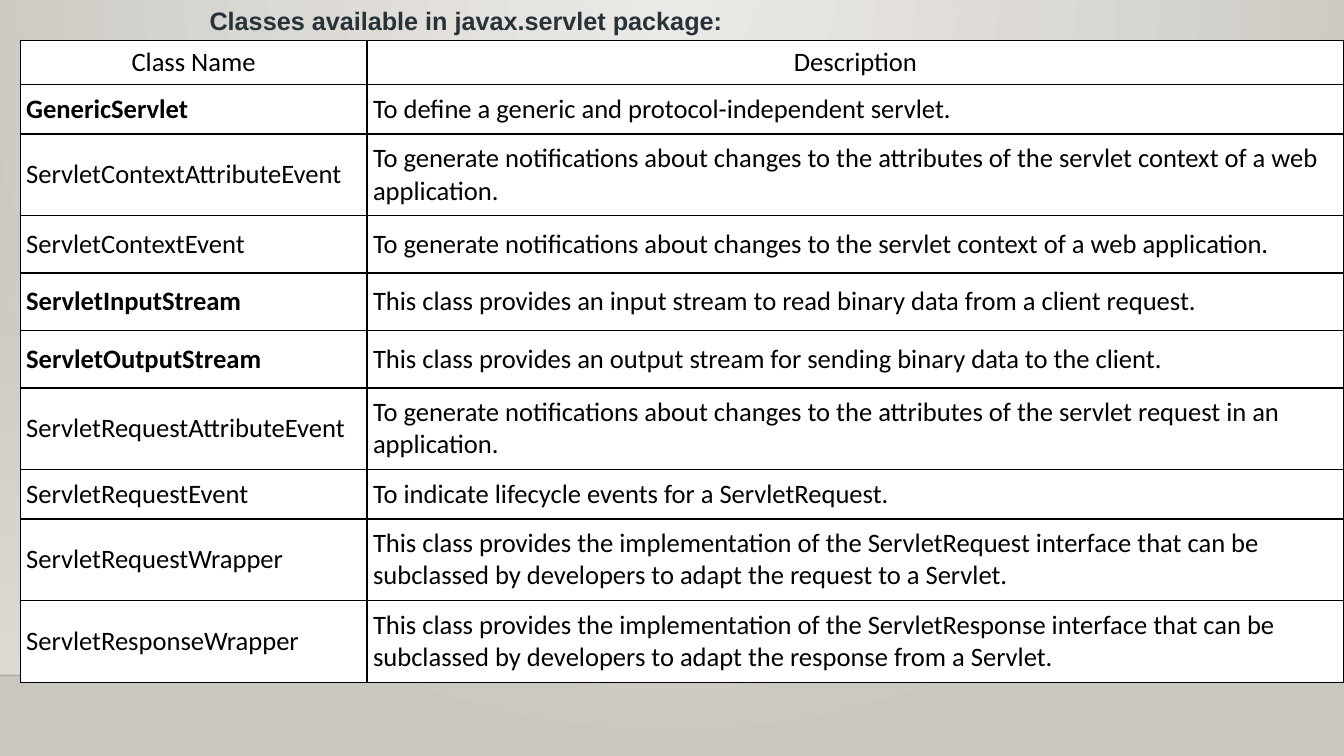
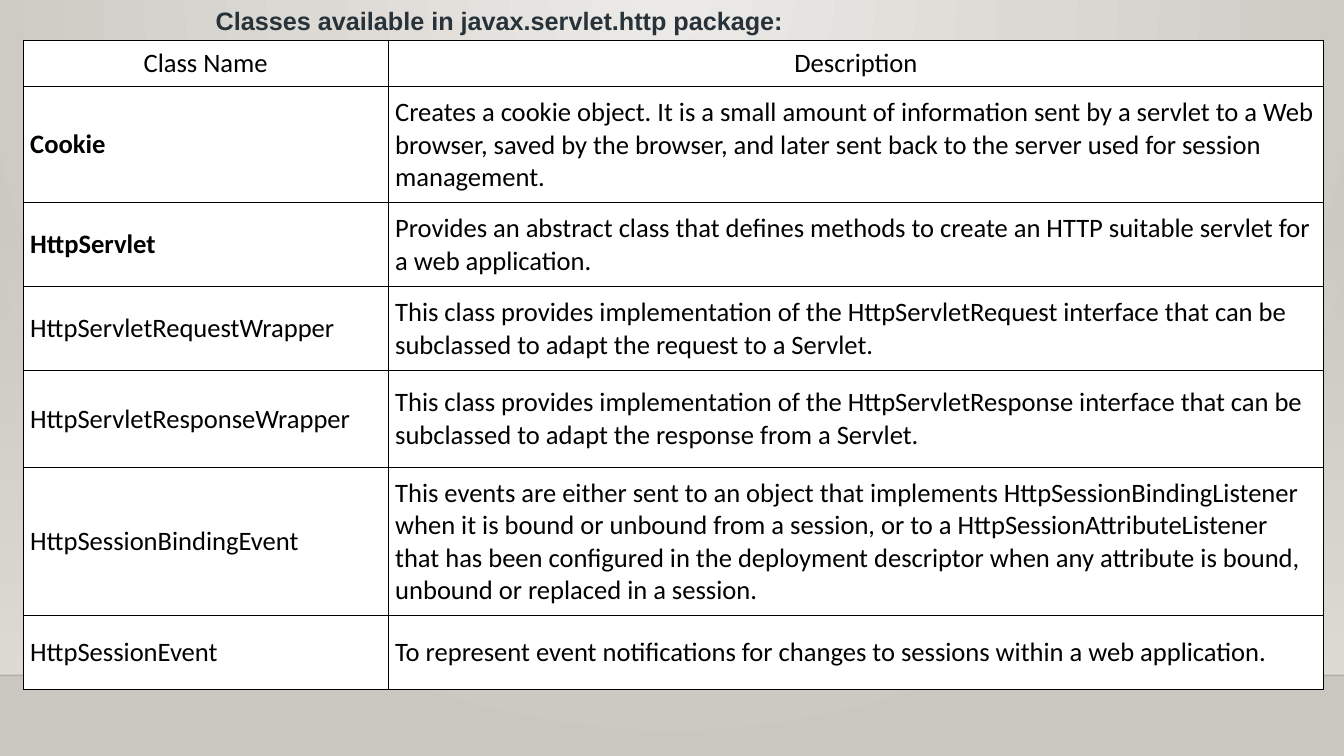
"""Build two slides that list the servlet classes of two Java packages."""
from lxml import etree
from pptx import Presentation
from pptx.dml.color import RGBColor
from pptx.enum.shapes import MSO_CONNECTOR, MSO_SHAPE
from pptx.enum.text import MSO_ANCHOR, PP_ALIGN
from pptx.oxml.ns import qn
from pptx.util import Inches, Pt

RECTANGLE = MSO_SHAPE.RECTANGLE
STRAIGHT = MSO_CONNECTOR.STRAIGHT
MIDDLE = MSO_ANCHOR.MIDDLE
LEFT, CENTER = PP_ALIGN.LEFT, PP_ALIGN.CENTER

COLORS = {
    "glow": "ECEAE7",
    "edge": "CAC7C1",
    "wall": "DFDBD5",
    "floor_line": "000001",
    "title": "273239",
    "text": "000000",
    "border": "000000",
    "cell": "FFFFFF",
}
SLIDE_WIDTH, SLIDE_HEIGHT = 13.33, 7.5
WALL_TOP, FLOOR_TOP = 2.21, 6.7
TABLE_TOP = 0.4
HEADER = ("Class Name", "Description")
KEY_CLASSES = {
    "GenericServlet", "ServletInputStream", "ServletOutputStream", "Cookie", "HttpServlet",
}

PAGES = [
    {
        "title": "Classes available in javax.servlet package:",
        "title_left": 1.98,
        "title_width": 5.41,
        "table_left": 0.2,
        "columns": (3.44, 9.69),
        "header_height": 0.44,
        "side_margin": 0.06,
        "body_margin": 0.08,
        "classes": [
            ("GenericServlet", "To define a generic and protocol-independent servlet.", 0.49),
            ("ServletContextAttributeEvent",
             "To generate notifications about changes to the attributes of the servlet context "
             "of a web application.", 0.81),
            ("ServletContextEvent",
             "To generate notifications about changes to the servlet context of a web "
             "application.", 0.57),
            ("ServletInputStream",
             "This class provides an input stream to read binary data from a client request.", 0.57),
            ("ServletOutputStream",
             "This class provides an output stream for sending binary data to the client.", 0.57),
            ("ServletRequestAttributeEvent",
             "To generate notifications about changes to the attributes of the servlet request "
             "in an application.", 0.81),
            ("ServletRequestEvent", "To indicate lifecycle events for a ServletRequest.", 0.49),
            ("ServletRequestWrapper",
             "This class provides the implementation of the ServletRequest interface that can be "
             "subclassed by developers to adapt the request to a Servlet.", 0.81),
            ("ServletResponseWrapper",
             "This class provides the implementation of the ServletResponse interface that can be "
             "subclassed by developers to adapt the response from a Servlet.", 0.81),
        ],
    },
    {
        "title": "Classes available in javax.servlet.http package:",
        "title_left": 2.04,
        "title_width": 5.95,
        "table_left": 0.23,
        "columns": (3.62, 9.28),
        "header_height": 0.46,
        "side_margin": 0.07,
        "body_margin": 0.1,
        "classes": [
            ("Cookie",
             "Creates a cookie object. It is a small amount of information sent by a servlet to a "
             "Web browser, saved by the browser, and later sent back to the server used for "
             "session management.", 0.96),
            ("HttpServlet",
             "Provides an abstract class that defines methods to create an HTTP suitable servlet "
             "for a web application.", 0.74),
            ("HttpServletRequestWrapper",
             "This class provides implementation of the HttpServletRequest interface that can be "
             "subclassed to adapt the request to a Servlet.", 0.74),
            ("HttpServletResponseWrapper",
             "This class provides implementation of the HttpServletResponse interface that can be "
             "subclassed to adapt the response from a Servlet.", 0.96),
            ("HttpSessionBindingEvent",
             "This events are either sent to an object that "
             "implements HttpSessionBindingListener when it is bound or unbound from a session, "
             "or to a HttpSessionAttributeListener that has been configured in the deployment "
             "descriptor when any attribute is bound, unbound or replaced in a session.", 1.41),
            ("HttpSessionEvent",
             "To represent event notifications for changes to sessions within a web "
             "application.", 0.74),
        ],
    },
]


def rgb(name):
    return RGBColor.from_string(COLORS[name])


def set_alpha(element, percent):
    color = next(element.iter(qn("a:srgbClr")))
    etree.SubElement(color, qn("a:alpha"), val=str(percent * 1000))


def set_gradient(fill, *names):
    fill.gradient()
    for stop, name in zip(fill.gradient_stops, names):
        stop.color.rgb = rgb(name)


def write_text(frame, text, *, font, size, color, bold=False, align=LEFT):
    frame.word_wrap = True
    paragraph = frame.paragraphs[0]
    paragraph.alignment = align
    run = paragraph.add_run()
    run.text = text
    run.font.name = font
    run.font.size = Pt(size)
    run.font.bold = bold
    run.font.color.rgb = rgb(color)


def style_background(master):
    set_gradient(master.background.fill, "glow", "edge")
    gradient = next(master.element.iter(qn("a:gradFill")))
    gradient.remove(gradient.find(qn("a:lin")))
    circle = etree.SubElement(gradient, qn("a:path"), path="circle")
    etree.SubElement(circle, qn("a:fillToRect"), l="43000", t="0", r="43000", b="100000")


def add_backdrop(layout, slide):
    wall = slide.shapes.add_shape(
        RECTANGLE, 0, Inches(WALL_TOP), Inches(SLIDE_WIDTH), Inches(FLOOR_TOP - WALL_TOP))
    wall.shadow.inherit = False
    wall.line.fill.background()
    set_gradient(wall.fill, "wall", "wall")
    wall.fill.gradient_angle = 270
    set_alpha(wall.element, 0)

    floor_line = slide.shapes.add_connector(
        STRAIGHT, 0, Inches(FLOOR_TOP), Inches(SLIDE_WIDTH), Inches(FLOOR_TOP))
    floor_line.line.color.rgb = rgb("floor_line")
    floor_line.line.width = Pt(1)
    set_alpha(floor_line.element, 20)
    etree.SubElement(floor_line.element.spPr, qn("a:effectLst"))

    for shape in (wall, floor_line):
        layout.shapes.element.append(shape.element)


def add_borders(cell):
    properties = cell._tc.get_or_add_tcPr()
    for side in ("lnL", "lnR", "lnT", "lnB"):
        line = etree.SubElement(properties, qn(f"a:{side}"), w=str(Pt(1)))
        fill = etree.SubElement(line, qn("a:solidFill"))
        etree.SubElement(fill, qn("a:srgbClr"), val=COLORS["border"])


def fill_cell(cell, text, *, side_margin, end_margin, bold, align):
    add_borders(cell)
    cell.fill.solid()
    cell.fill.fore_color.rgb = rgb("cell")
    cell.vertical_anchor = MIDDLE
    cell.margin_left = cell.margin_right = Inches(side_margin)
    cell.margin_top = cell.margin_bottom = Inches(end_margin)
    write_text(cell.text_frame, text, font="Calibri", size=19, color="text",
               bold=bold, align=align)


def add_title(slide, page):
    box = slide.shapes.add_textbox(
        Inches(page["title_left"]), 0, Inches(page["title_width"]), Inches(TABLE_TOP))
    write_text(box.text_frame, page["title"], font="Arial", size=18, color="title", bold=True)


def add_class_table(slide, page):
    rows = [(*HEADER, page["header_height"]), *page["classes"]]
    total_height = sum(height for _, _, height in rows)
    table = slide.shapes.add_table(
        len(rows), len(HEADER), Inches(page["table_left"]), Inches(TABLE_TOP),
        Inches(sum(page["columns"])), Inches(total_height)).table
    table.first_row = table.horz_banding = False
    for column, width in zip(table.columns, page["columns"]):
        column.width = Inches(width)
    for row_index, (name, description, height) in enumerate(rows):
        table.rows[row_index].height = Inches(height)
        is_header = row_index == 0
        for column_index, text in enumerate((name, description)):
            fill_cell(
                table.cell(row_index, column_index), text,
                side_margin=page["side_margin"],
                end_margin=page["side_margin" if is_header else "body_margin"],
                bold=text in KEY_CLASSES,
                align=CENTER if is_header else LEFT)


def main():
    presentation = Presentation()
    presentation.slide_width = Inches(SLIDE_WIDTH)
    presentation.slide_height = Inches(SLIDE_HEIGHT)
    layout = presentation.slide_layouts[6]
    style_background(presentation.slide_master)
    slides = [presentation.slides.add_slide(layout) for _ in PAGES]
    add_backdrop(layout, slides[0])
    for slide, page in zip(slides, PAGES):
        add_title(slide, page)
        add_class_table(slide, page)
    presentation.save("out.pptx")


if __name__ == "__main__":
    main()
